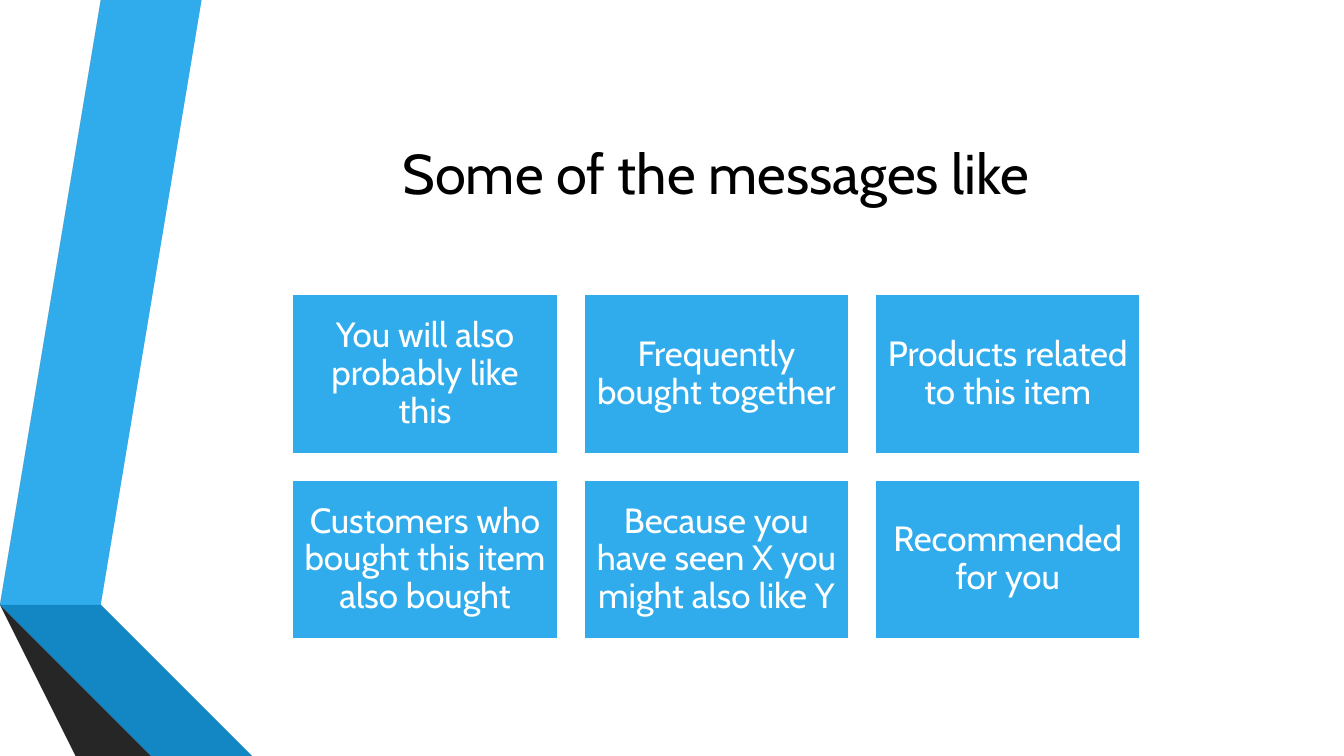
from dataclasses import dataclass

from pptx import Presentation
from pptx.dml.color import RGBColor
from pptx.enum.shapes import MSO_SHAPE as Shape
from pptx.enum.text import MSO_ANCHOR as Anchor, PP_ALIGN as Align
from pptx.util import Inches, Pt


@dataclass(frozen=True)
class Theme:
    font: str = "Cabin"
    title_size: int = 40
    tile_size: int = 25
    black: str = "000000"
    white: str = "FFFFFF"
    blue: str = "30ACEC"
    mid_blue: str = "1287C3"
    deep_blue: str = "0C5A82"
    gray: str = "595959"
    dark_gray: str = "404040"
    charcoal: str = "262626"


THEME = Theme()

# Folded ribbons at the left edge, from back to front
RIBBONS = [
    (THEME.blue, [(0.5, 5.78), (0.77, 5.83), (1.73, 0), (1.45, 0)]),
    (THEME.gray, [(1.39, 0), (1.11, 0), (0.16, 5.73), (0.44, 5.77)]),
    (THEME.charcoal, [(0.16, 5.73), (1.45, 7.5), (1.51, 7.5)]),
    (THEME.deep_blue, [(0.5, 5.79), (2.08, 7.5), (2.14, 7.5)]),
    (THEME.mid_blue, [(0.5, 5.79), (2.14, 7.5), (2.83, 7.5), (0.77, 5.83), (0.5, 5.78)]),
    (THEME.dark_gray, [(2.02, 7.5), (0.48, 5.83), (0.43, 5.78), (0.44, 5.77),
                       (0.16, 5.73), (1.51, 7.5)]),
]

MESSAGES = [
    "You will also probably like this",
    "Frequently bought together",
    "Products related to this item",
    "Customers who bought this item also bought",
    "Because you have seen X you might also like Y",
    "Recommended for you",
]

COLUMNS = 3
GRID_LEFT, GRID_TOP = 2.9, 2.92
TILE_WIDTH, TILE_HEIGHT = 2.63, 1.58
GAP = 0.26


class Page:
    def __init__(self, slide, theme):
        self.slide = slide
        self.theme = theme

    def set_text(self, shape, text, size, color):
        """Put centred, wrapped text into a shape."""
        frame = shape.text_frame
        frame.text = text
        frame.word_wrap = True
        frame.vertical_anchor = Anchor.MIDDLE
        para = frame.paragraphs[0]
        para.alignment = Align.CENTER
        font = para.runs[0].font
        font.name = self.theme.font
        font.size = Pt(size)
        font.color.rgb = RGBColor.from_string(color)
        return frame

    def set_fill(self, shape, color):
        shape.shadow.inherit = False
        shape.fill.solid()
        shape.fill.fore_color.rgb = RGBColor.from_string(color)

    def title(self, text, left, top, width, height):
        box = self.slide.shapes.title
        box.left, box.top = Inches(left), Inches(top)
        box.width, box.height = Inches(width), Inches(height)
        self.set_text(box, text, self.theme.title_size, self.theme.black)

    def ribbon(self, points, color):
        builder = self.slide.shapes.build_freeform(*points[0], scale=Inches(1))
        builder.add_line_segments(points[1:], close=True)
        shape = builder.convert_to_shape()
        self.set_fill(shape, color)
        shape.line.fill.background()

    def tile(self, text, left, top, width, height):
        shape = self.slide.shapes.add_shape(
            Shape.RECTANGLE, Inches(left), Inches(top), Inches(width), Inches(height))
        self.set_fill(shape, self.theme.blue)
        shape.line.color.rgb = RGBColor.from_string(self.theme.white)
        shape.line.width = Pt(1.25)
        frame = self.set_text(shape, text, self.theme.tile_size, self.theme.white)
        frame.margin_left = frame.margin_right = Inches(0.1)
        frame.margin_top = frame.margin_bottom = Inches(0.1)
        frame.paragraphs[0].line_spacing = 0.9


def main():
    deck = Presentation()
    deck.slide_width, deck.slide_height = Inches(13.33), Inches(7.5)
    title_only = deck.slide_layouts.get_by_name("Title Only")
    page = Page(deck.slides.add_slide(title_only), THEME)

    for color, points in RIBBONS:
        page.ribbon(points, color)
    page.title("Some of the messages like", 1.62, 0.75, 10.96, 1.92)
    for index, message in enumerate(MESSAGES):
        row, column = divmod(index, COLUMNS)
        page.tile(message,
                  GRID_LEFT + column * (TILE_WIDTH + GAP),
                  GRID_TOP + row * (TILE_HEIGHT + GAP),
                  TILE_WIDTH, TILE_HEIGHT)

    deck.save("out.pptx")


if __name__ == "__main__":
    main()
